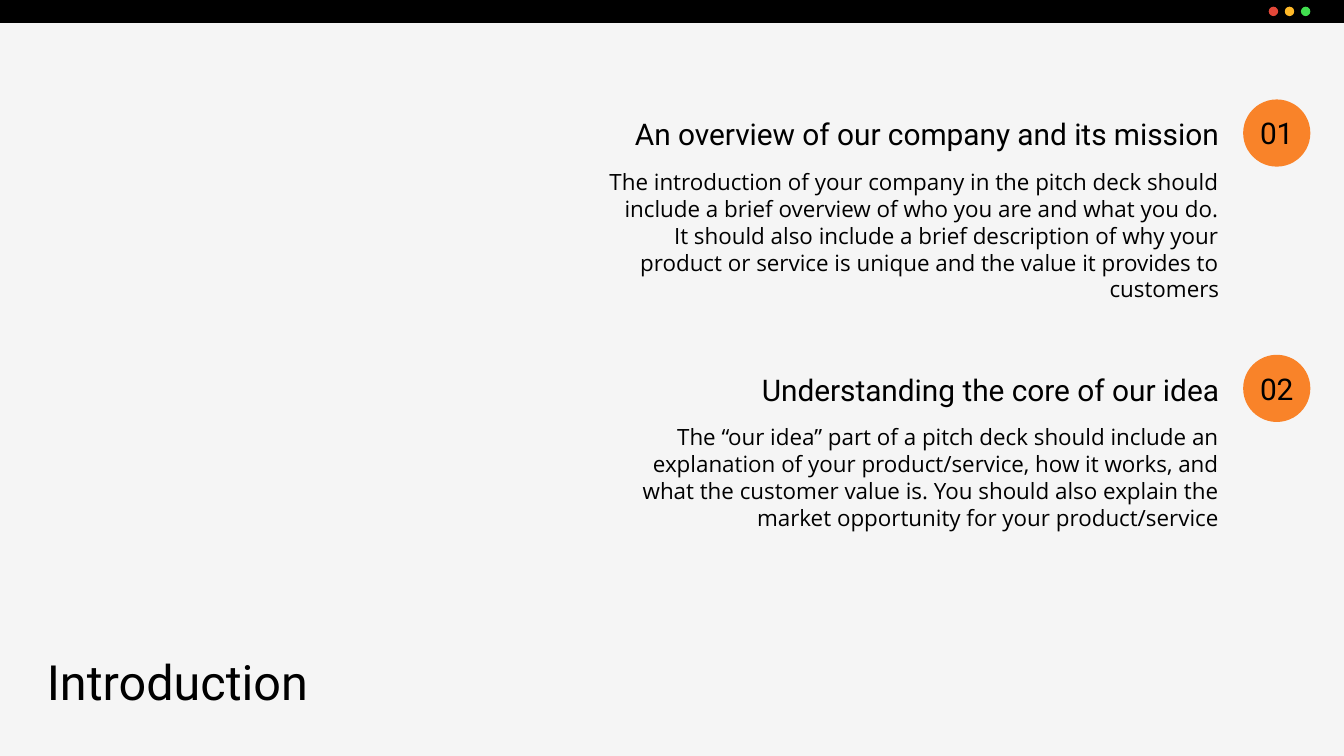
from dataclasses import dataclass

from pptx import Presentation
from pptx.dml.color import RGBColor as Rgb
from pptx.enum.shapes import MSO_SHAPE as Kind
from pptx.enum.text import MSO_ANCHOR as Anchor, PP_ALIGN as Align
from pptx.util import Inches, Pt


@dataclass(frozen=True)
class Theme:
    paper: str = "F5F5F5"
    ink: str = "000000"
    accent: str = "F98329"
    dots: tuple = ("E34839", "FFB928", "41DF4F")
    head: str = "Roboto"
    body: str = "Open Sans"
    title: int = 26
    sub: int = 16
    text: int = 12


THEME = Theme()

ITEMS = [
    ("01", "An overview of our company and its mission",
     "The introduction of your company in the pitch deck should include a "
     "brief overview of who you are and what you do. It should also include "
     "a brief description of why your product or service is unique and the "
     "value it provides to customers"),
    ("02", "Understanding the core of our idea",
     "The “our idea” part of a pitch deck should include an explanation of "
     "your product/service, how it works, and what the customer value is. "
     "You should also explain the market opportunity for your "
     "product/service"),
]


def add_form(slide, kind, box, color):
    form = slide.shapes.add_shape(kind, *map(Inches, box))
    form.shadow.inherit = False
    form.fill.solid()
    form.fill.fore_color.rgb = Rgb.from_string(color)
    form.line.fill.background()


def add_text(slide, box, text, size, font=THEME.head, align=Align.LEFT,
             anchor=Anchor.TOP):
    frame = slide.shapes.add_textbox(*map(Inches, box)).text_frame
    inset = Inches(0.1)
    form = {"word_wrap": True, "vertical_anchor": anchor,
            "margin_left": inset, "margin_right": inset,
            "margin_top": inset, "margin_bottom": inset}
    for key, value in form.items():
        setattr(frame, key, value)
    para = frame.paragraphs[0]
    para.alignment = align
    run = para.add_run()
    run.text = text
    for key, value in {"name": font, "size": Pt(size)}.items():
        setattr(run.font, key, value)
    run.font.color.rgb = Rgb.from_string(THEME.ink)


def add_bar(slide, box):
    """Window bar with three round buttons at its right end."""
    left, top, width, height = box
    add_form(slide, Kind.RECTANGLE, box, THEME.ink)
    size, gap = 0.07, 0.05
    first = left + width - 0.25 - 3 * size - 2 * gap
    for i, color in enumerate(THEME.dots):
        x = first + i * (size + gap)
        y = top + (height - size) / 2
        add_form(slide, Kind.OVAL, (x, y, size, size), color)


def add_item(slide, box, item):
    """Right-aligned heading and text beside a numbered badge."""
    left, top, width, height = box
    mark, head, text = item
    badge, wide = 0.5, 4.75
    x = left + width - badge
    add_form(slide, Kind.OVAL, (x, top, badge, badge), THEME.accent)
    add_text(slide, (x, top + 0.08, badge, 0.34), mark, THEME.sub,
             align=Align.CENTER, anchor=Anchor.MIDDLE)
    add_text(slide, (left, top + 0.02, wide, 0.47), head, THEME.sub,
             align=Align.RIGHT, anchor=Anchor.BOTTOM)
    add_text(slide, (left, top + 0.41, wide, height - 0.41), text,
             THEME.text, THEME.body, Align.RIGHT)


def main():
    deck = Presentation()
    deck.slide_width = Inches(10)
    deck.slide_height = deck.slide_width * 9 // 16
    slide = deck.slides.add_slide(deck.slide_layouts[6])
    fill = slide.background.fill
    fill.solid()
    fill.fore_color.rgb = Rgb.from_string(THEME.paper)

    # Window bar
    add_bar(slide, (0, 0, 10, 0.17))

    # Numbered points
    for i, item in enumerate(ITEMS):
        add_item(slide, (4.42, 0.74 + i * 1.9, 5.33, 1.62), item)

    # Slide title
    add_text(slide, (0.25, 4.75, 9.5, 0.63), "Introduction", THEME.title)

    deck.save("out.pptx")


if __name__ == "__main__":
    main()
